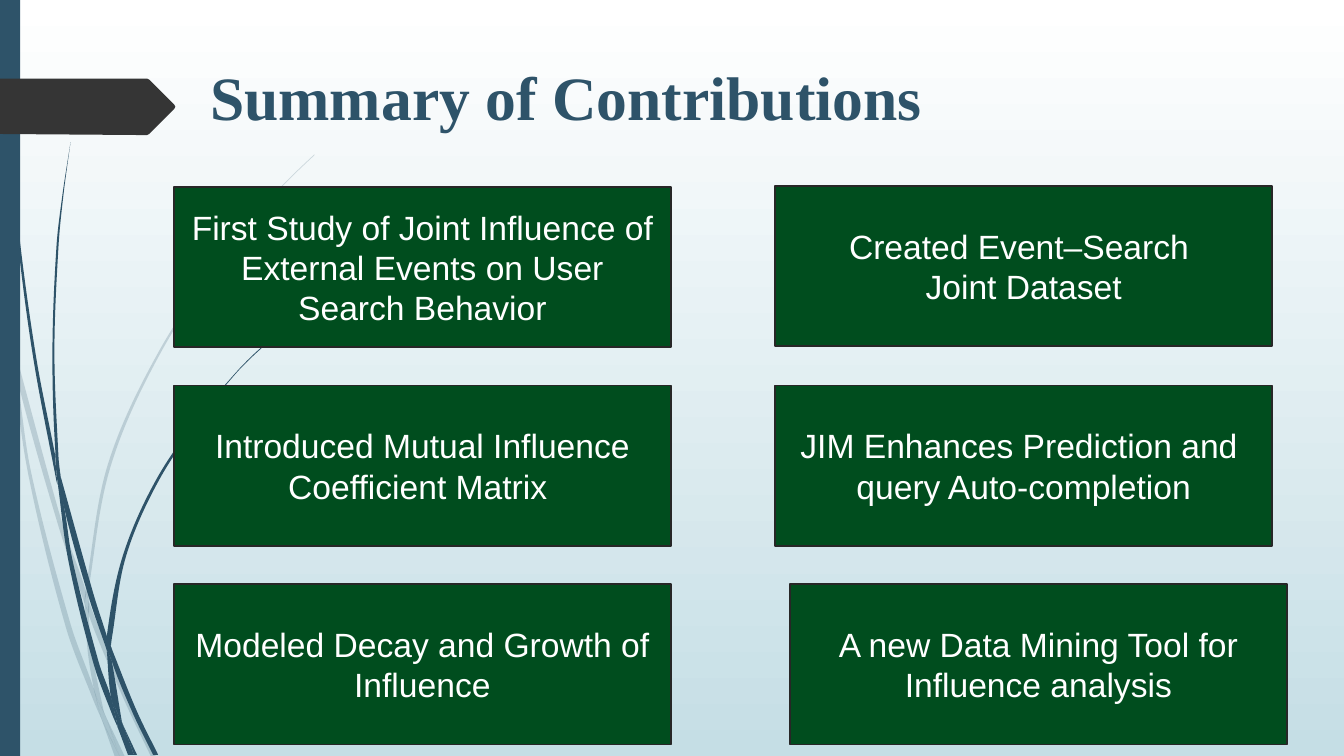
"""Build the slide that sums up the contributions of a study."""
from dataclasses import dataclass
from math import dist

from lxml import etree
from pptx import Presentation
from pptx.dml.color import RGBColor
from pptx.enum.shapes import MSO_SHAPE
from pptx.enum.text import MSO_ANCHOR, PP_ALIGN
from pptx.oxml.ns import qn
from pptx.shapes.autoshape import Shape
from pptx.slide import Slide
from pptx.util import Pt

RECTANGLE = MSO_SHAPE.RECTANGLE
TOP, MIDDLE = MSO_ANCHOR.TOP, MSO_ANCHOR.MIDDLE
LEFT, CENTER = PP_ALIGN.LEFT, PP_ALIGN.CENTER

WHITE = RGBColor(0xFF, 0xFF, 0xFF)
MIST = RGBColor(0xC5, 0xDE, 0xE5)
NAVY = RGBColor(0x2E, 0x53, 0x69)
CHARCOAL = RGBColor(0x35, 0x35, 0x35)
GREEN = RGBColor(0x00, 0x4D, 0x1E)
OUTLINE = RGBColor(0x27, 0x27, 0x27)

TITLE_FONT = {"name": "Times New Roman", "size": Pt(44), "bold": True}
CARD_FONT = {"name": "Arial", "size": Pt(24), "bold": False}

GRID = 0.72
SHARP_TURN = 0.7
CARD_WIDTH, CARD_HEIGHT = 355, 114.5

Point = tuple[float, float]
Points = list[Point]


@dataclass
class Card:
    """A green box with its corner and wording."""
    left: float
    top: float
    text: str


@dataclass
class Tuft:
    """Grass blades of one opacity, as outlines in grid units."""
    alpha: int
    blades: list[Points]


CARDS = [
    Card(124.2, 133.5, "First Study of Joint Influence of External Events on User Search Behavior"),
    Card(124.2, 275.4, "Introduced Mutual Influence Coefficient Matrix "),
    Card(124.2, 417.3, "Modeled Decay and Growth of Influence"),
    Card(553.7, 132.8, "Created Event–Search \nJoint Dataset"),
    Card(553.7, 275.4, "JIM Enhances Prediction and  query Auto-completion"),
    Card(564.2, 417.3, "A new Data Mining Tool for Influence analysis"),
]

PALE_TUFT = Tuft(20, [
    [(11, 350), (9, 322), (0, 282), (0, 299), (10, 344)],
    [(58, 522), (84, 599), (85, 586), (62, 520), (14, 345), (17, 376)],
    [(92, 607), (88, 596), (88, 610), (123, 694), (150, 751), (155, 751), (127, 692)],
    [(119, 751), (124, 751), (105, 711)],
    [(93, 683), (70, 619), (31, 469), (17, 376), (11, 350), (28, 470), (65, 621),
     (92, 693), (101, 714), (99, 707)],
    [(84, 599), (87, 646), (93, 683), (96, 692), (105, 711), (103, 706), (91, 646),
     (88, 610), (88, 608)],
    [(88, 584), (110, 462), (160, 349), (229, 245), (268, 198), (290, 175), (312, 154), (312, 153),
     (289, 175), (268, 197), (228, 244), (158, 348), (107, 461), (85, 584), (85, 586), (88, 596)],
    [(101, 714), (114, 751), (119, 751)],
    [(88, 608), (88, 610), (88, 596), (85, 586), (84, 599)],
    [(96, 692), (93, 683), (99, 707), (101, 714), (119, 751), (105, 711)],
])

DARK_TUFT = Tuft(100, [
    [(7, 110), (17, 233), (33, 355), (56, 477), (57, 481), (55, 457), (55, 453), (36, 355),
     (19, 232), (8, 109), (5, 48), (4, 0), (3, 0), (4, 48)],
    [(88, 592), (106, 645), (106, 633), (106, 631), (93, 590), (60, 472), (64, 505)],
    [(113, 649), (110, 641), (111, 656), (132, 708), (152, 749), (157, 749), (136, 706)],
    [(110, 691), (98, 657), (72, 556), (64, 505), (57, 477), (68, 557), (93, 659), (111, 708),
     (117, 722), (116, 717)],
    [(60, 472), (58, 453), (54, 349), (58, 245), (63, 193), (70, 141), (62, 193), (56, 245),
     (52, 349), (55, 449)],
    [(133, 749), (136, 749), (122, 719)],
    [(57, 477), (64, 505), (60, 472), (55, 449), (55, 453)],
    [(111, 633), (125, 552), (158, 476), (205, 406), (231, 374), (245, 359), (261, 344), (260, 344),
     (245, 358), (231, 373), (204, 405), (156, 474), (122, 551), (106, 631), (110, 641)],
    [(117, 722), (127, 749), (131, 749)],
    [(106, 645), (110, 691), (116, 706), (122, 719), (121, 716), (111, 656), (109, 651)],
    [(106, 645), (109, 651), (111, 656), (110, 641), (106, 631), (106, 633)],
    [(116, 706), (110, 691), (116, 717), (117, 722), (130, 749), (133, 749), (122, 719)],
])

ARROW = [(173, 108), (148, 133), (146, 134), (136, 134), (0, 133), (0, 78), (136, 78), (146, 78),
         (148, 79), (173, 104), (174, 106)]


def direction(start: Point, end: Point) -> Point:
    """Return the unit vector from one point to another."""
    length = dist(start, end)
    return (end[0] - start[0]) / length, (end[1] - start[1]) / length


def tangents(before: Point, vertex: Point, after: Point) -> tuple[Point, Point]:
    """Return the directions of the outline into and out of a vertex."""
    inward, outward = direction(before, vertex), direction(vertex, after)
    if inward[0] * outward[0] + inward[1] * outward[1] < SHARP_TURN:
        return inward, outward
    along = direction(before, after)
    return along, along


def round_outline(shape: Shape, corners: Points) -> None:
    """Turn the straight sides of a freeform into smooth curves."""
    count = len(corners)
    slopes = [tangents(corners[i - 1], corners[i], corners[(i + 1) % count]) for i in range(count)]
    for index, side in enumerate(list(shape.element.iter(qn("a:lnTo")))):
        following = (index + 1) % count
        start, end = corners[index], corners[following]
        leaving, arriving = slopes[index][1], slopes[following][0]
        reach = dist(start, end) / 3
        handles = (
            (start[0] + reach * leaving[0], start[1] + reach * leaving[1]),
            (end[0] - reach * arriving[0], end[1] - reach * arriving[1]),
        )
        side.tag = qn("a:cubicBezTo")
        for position, (x, y) in enumerate(handles):
            handle = etree.Element(qn("a:pt"), x=str(round(x - shape.left)), y=str(round(y - shape.top)))
            side.insert(position, handle)


def paint(shape: Shape, color: RGBColor) -> None:
    """Give a shape a flat fill with no line and no shadow."""
    shape.shadow.inherit = False
    shape.fill.solid()
    shape.fill.fore_color.rgb = color
    shape.line.fill.background()


def draw_outline(slide: Slide, outline: Points, color: RGBColor) -> tuple[Shape, Points]:
    """Draw a closed, filled outline and return it with its corners."""
    corners = [(Pt(GRID * x), Pt(GRID * y)) for x, y in outline]
    builder = slide.shapes.build_freeform(*corners[0], scale=1.0)
    builder.add_line_segments([*corners[1:], corners[0]], close=True)
    shape = builder.convert_to_shape()
    paint(shape, color)
    return shape, corners


def draw_tuft(slide: Slide, tuft: Tuft) -> None:
    """Draw all blades of a tuft."""
    for blade in tuft.blades:
        shape, corners = draw_outline(slide, blade, NAVY)
        round_outline(shape, corners)
        if tuft.alpha < 100:
            tint = next(shape.element.iter(qn("a:srgbClr")))
            etree.SubElement(tint, qn("a:alpha"), val=str(tuft.alpha * 1000))


def write_text(shape: Shape, text: str, font: dict, color: RGBColor, alignment: PP_ALIGN,
               anchor: MSO_ANCHOR) -> None:
    """Fill a shape with wrapped text."""
    frame = shape.text_frame
    frame.word_wrap = True
    frame.vertical_anchor = anchor
    frame.text = text
    for paragraph in frame.paragraphs:
        paragraph.alignment = alignment
        for run in paragraph.runs:
            run.font.color.rgb = color
            for name, value in font.items():
                setattr(run.font, name, value)


def draw_card(slide: Slide, card: Card) -> None:
    """Draw one contribution box."""
    shape = slide.shapes.add_shape(RECTANGLE, Pt(card.left), Pt(card.top), Pt(CARD_WIDTH), Pt(CARD_HEIGHT))
    paint(shape, GREEN)
    shape.line.color.rgb = OUTLINE
    shape.line.width = Pt(1.25)
    write_text(shape, card.text, CARD_FONT, WHITE, CENTER, MIDDLE)


def main() -> None:
    """Build and save the presentation."""
    presentation = Presentation()
    presentation.slide_width, presentation.slide_height = Pt(960), Pt(540)
    slide = presentation.slides.add_slide(presentation.slide_layouts[6])
    fill = slide.background.fill
    fill.gradient()
    fill.gradient_angle = 270
    for stop, color in zip(fill.gradient_stops, (WHITE, MIST)):
        stop.color.rgb = color
    for tuft in (PALE_TUFT, DARK_TUFT):
        draw_tuft(slide, tuft)
    paint(slide.shapes.add_shape(RECTANGLE, 0, 0, Pt(14.4), Pt(540)), NAVY)
    draw_outline(slide, ARROW, CHARCOAL)
    title = slide.shapes.add_textbox(Pt(143), Pt(38.9), Pt(599), Pt(67.7))
    write_text(title, "Summary of Contributions", TITLE_FONT, NAVY, LEFT, TOP)
    for card in CARDS:
        draw_card(slide, card)
    presentation.save("out.pptx")


if __name__ == "__main__":
    main()
